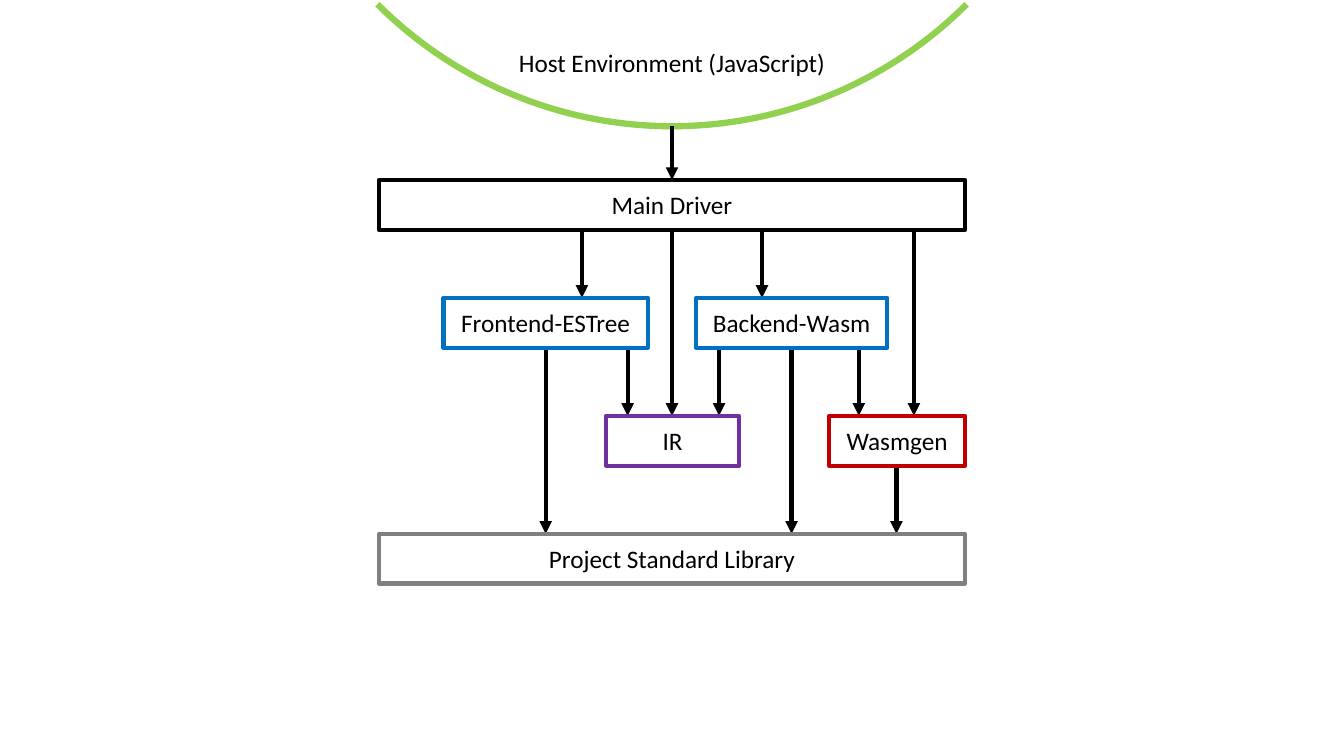
from lxml.etree import SubElement
from pptx import Presentation
from pptx.dml.color import RGBColor
from pptx.enum.shapes import MSO_CONNECTOR, MSO_SHAPE
from pptx.enum.text import MSO_ANCHOR, PP_ALIGN
from pptx.oxml.ns import qn
from pptx.util import Inches, Pt

COLORS = {
    "ink": "000000", "paper": "FFFFFF", "host": "92D050", "stage": "0070C0",
    "ir": "7030A0", "wasmgen": "C00000", "library": "808080",
}
WIDTH, HEIGHT = Inches(13.33), Inches(7.5)
COL, ROW = WIDTH / 100, HEIGHT / 100  # the slide is a 100 by 100 grid

# Diagram box in grid units: left, top, width, height
DIAGRAM = (28.2, 23.8, 43.6, 53.4)
HOST = (28.2, 0, 43.6, 16.7)
LAYER_HEIGHT, LAYER_PITCH = 6.6, 15.6

# Text, color, layer, left column, columns wide (within the diagram)
MODULES = [
    ("Main Driver", "ink", 0, 0, 43.6),
    ("Frontend-ESTree", "stage", 1, 4.8, 15.2),
    ("Backend-Wasm", "stage", 1, 23.6, 14.2),
    ("IR", "ir", 2, 16.9, 9.9),
    ("Wasmgen", "wasmgen", 2, 33.5, 10.1),
    ("Project Standard Library", "library", 3, 0, 43.6),
]
# Column within the diagram, layer it leaves, layer it reaches
DEPENDENCIES = [
    (15.1, 0, 1), (21.8, 0, 2), (28.5, 0, 1), (39.8, 0, 2),
    (12.4, 1, 3), (18.5, 1, 2), (25.3, 1, 2), (30.7, 1, 3), (35.7, 1, 2),
    (38.5, 2, 3),
]


def rgb(name):
    """Look up a named color."""
    return RGBColor.from_string(COLORS[name])


def place(left, top, width, height):
    """Turn grid units into slide lengths."""
    return [round(n) for n in (left * COL, top * ROW, width * COL, height * ROW)]


def write(holder, text, size=18, color="ink", font="Calibri"):
    """Put centred, formatted text in a shape or text box."""
    frame = holder.text_frame
    frame.word_wrap = True
    frame.vertical_anchor = MSO_ANCHOR.MIDDLE
    paragraph = frame.paragraphs[0]
    paragraph.alignment = PP_ALIGN.CENTER
    run = paragraph.add_run()
    run.text = text
    run.font.size, run.font.name = Pt(size), font
    run.font.color.rgb = rgb(color)


def stroke(part, color, weight=3):
    """Set a line's color and weight."""
    part.line.color.rgb = rgb(color)
    part.line.width = Pt(weight)


def add_arrow(slide, column, start, end):
    """Draw a downward arrow between two grid rows."""
    x = round(column * COL)
    arrow = slide.shapes.add_connector(
        MSO_CONNECTOR.STRAIGHT, x, round(start * ROW), x, round(end * ROW))
    stroke(arrow, "ink")
    properties = arrow._element.spPr
    SubElement(properties.find(qn("a:ln")), qn("a:tailEnd"), type="triangle")
    SubElement(properties, qn("a:effectLst"))


def add_module(slide, box, text, color):
    """Draw one outlined module with its name."""
    module = slide.shapes.add_shape(MSO_SHAPE.RECTANGLE, *place(*box))
    module.shadow.inherit = False
    module.fill.solid()
    module.fill.fore_color.rgb = rgb("paper")
    stroke(module, color)
    write(module, text)


def add_host(slide, box, driver_top):
    """Draw the host's curve and label, with its arrow to the driver."""
    left, top, width, height = box
    middle, bottom = left + width / 2, top + height
    diameter = 62 * COL
    curve = slide.shapes.add_shape(
        MSO_SHAPE.ARC, round(middle * COL - diameter / 2),
        round(bottom * ROW - diameter), round(diameter), round(diameter))
    curve.rotation = 135
    curve.shadow.inherit = False
    curve.fill.background()
    stroke(curve, "host", 4.5)
    label = slide.shapes.add_textbox(
        *place(middle - 13.5, top + 4.9, 27, LAYER_HEIGHT))
    write(label, "Host Environment (JavaScript)")
    add_arrow(slide, middle, bottom, driver_top)


def add_layers(slide, box):
    """Draw the dependency arrows, then the modules in their layers."""
    left, top, _, _ = box
    for column, source, target in DEPENDENCIES:
        add_arrow(slide, left + column,
                  top + source * LAYER_PITCH + LAYER_HEIGHT,
                  top + target * LAYER_PITCH)
    for text, color, layer, column, columns in MODULES:
        add_module(slide, (left + column, top + layer * LAYER_PITCH,
                           columns, LAYER_HEIGHT), text, color)


def main():
    """Build and save the architecture slide."""
    deck = Presentation()
    deck.slide_width, deck.slide_height = WIDTH, HEIGHT
    slide = deck.slides.add_slide(deck.slide_layouts[6])
    add_host(slide, HOST, DIAGRAM[1])
    add_layers(slide, DIAGRAM)
    deck.save("out.pptx")


main()
